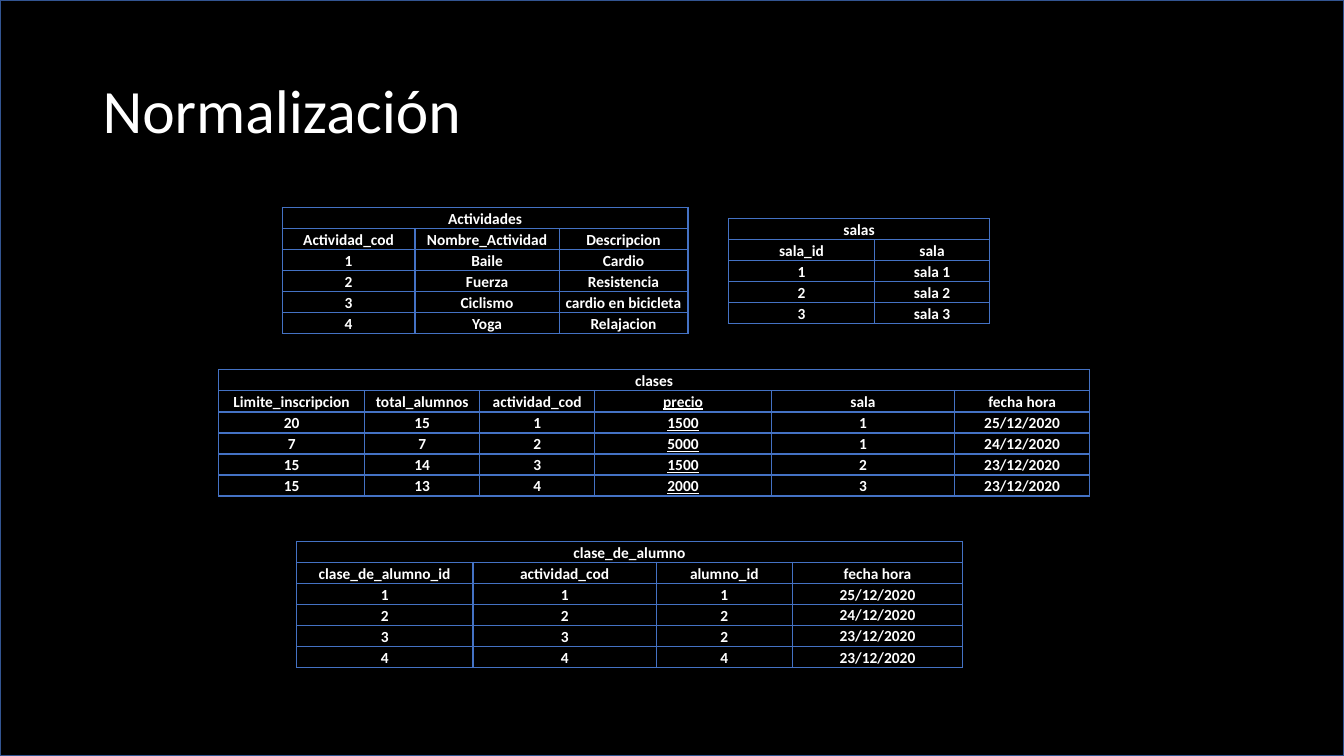
from dataclasses import dataclass

from lxml.etree import SubElement
from pptx import Presentation
from pptx.dml.color import RGBColor
from pptx.enum.shapes import MSO_SHAPE as Shape
from pptx.enum.text import MSO_ANCHOR as Anchor, PP_ALIGN as Align
from pptx.oxml.ns import qn
from pptx.util import Cm, Pt


@dataclass(frozen=True)
class Theme:
    font: str = "Calibri"
    background: str = "000000"
    frame: str = "325491"
    grid: str = "4472C4"
    text: str = "FFFFFF"
    title_size: int = 44
    cell_size: int = 11
    line_width: int = 1


theme = Theme()


def write(frame, text, size, bold=False, underline=False, align=Align.LEFT, spacing=1.0):
    frame.text = text
    paragraph = frame.paragraphs[0]
    paragraph.alignment = align
    paragraph.line_spacing = spacing
    font = paragraph.runs[0].font
    font.name, font.size = theme.font, Pt(size)
    font.bold, font.underline = bold, underline
    font.color.rgb = RGBColor.from_string(theme.text)


def outline(cell):
    properties = cell._tc.get_or_add_tcPr()
    for position, side in enumerate(("lnL", "lnR", "lnT", "lnB")):
        border = SubElement(properties, qn(f"a:{side}"), w=str(Pt(theme.line_width)))
        paint = SubElement(border, qn("a:solidFill"))
        SubElement(paint, qn("a:srgbClr"), val=theme.grid)
        properties.insert(position, border)


prs = Presentation()
prs.slide_width, prs.slide_height = Cm(33.87), Cm(19.05)
slide = prs.slides.add_slide(prs.slide_layouts[5])

# Title
title = slide.shapes.title
title.left, title.top, title.width, title.height = Cm(2.33), Cm(1.01), Cm(29.21), Cm(3.68)
write(title.text_frame, "Normalización", theme.title_size, spacing=0.9)
title.text_frame.vertical_anchor = Anchor.MIDDLE

# Black backdrop, behind the title
backdrop = slide.shapes.add_shape(Shape.RECTANGLE, 0, 0, prs.slide_width, prs.slide_height)
backdrop.shadow.inherit = False
backdrop.fill.solid()
backdrop.fill.fore_color.rgb = RGBColor.from_string(theme.background)
backdrop.line.color.rgb = RGBColor.from_string(theme.frame)
backdrop.line.width = Pt(theme.line_width)
title.element.addprevious(backdrop.element)

# Normalized relations: name, left, top, column widths, rows with header first
relations = [
    ("Actividades", 7.11, 5.23, (3.35, 3.63, 3.25), [
        ("Actividad_cod", "Nombre_Actividad", "Descripcion"),
        ("1", "Baile", "Cardio"),
        ("2", "Fuerza", "Resistencia"),
        ("3", "Ciclismo", "cardio en bicicleta"),
        ("4", "Yoga", "Relajacion"),
    ]),
    ("clases", 5.51, 9.32, (3.68, 2.9, 2.9, 4.45, 4.62, 3.4), [
        ("Limite_inscripcion", "total_alumnos", "actividad_cod", "precio", "sala", "fecha hora"),
        ("20", "15", "1", "1500", "1", "25/12/2020"),
        ("7", "7", "2", "5000", "1", "24/12/2020"),
        ("15", "14", "3", "1500", "2", "23/12/2020"),
        ("15", "13", "4", "2000", "3", "23/12/2020"),
    ]),
    ("salas", 18.36, 5.51, (3.68, 2.9), [
        ("sala_id", "sala"),
        ("1", "sala 1"),
        ("2", "sala 2"),
        ("3", "sala 3"),
    ]),
    ("clase_de_alumno", 7.47, 13.64, (4.45, 4.62, 3.43, 4.29), [
        ("clase_de_alumno_id", "actividad_cod", "alumno_id", "fecha hora"),
        ("1", "1", "1", "25/12/2020"),
        ("2", "2", "2", "24/12/2020"),
        ("3", "3", "2", "23/12/2020"),
        ("4", "4", "4", "23/12/2020"),
    ]),
]
row_height = 0.53
middle_date_rows = (3, 4)

for name, left, top, widths, records in relations:
    header = records[0]
    row_count = len(records) + 1
    relation = slide.shapes.add_table(row_count, len(widths), Cm(left), Cm(top),
                                      Cm(sum(widths)), Cm(row_height * row_count)).table
    relation.first_row = relation.horz_banding = False
    for column, width in zip(relation.columns, widths):
        column.width = Cm(width)
    for row in relation.rows:
        row.height = Cm(row_height)

    # Cell grid, then the name across the top row
    for cell in relation.iter_cells():
        cell.margin_left = cell.margin_right = cell.margin_top = Cm(0.03)
        cell.margin_bottom = 0
        cell.fill.background()
        outline(cell)
    relation.cell(0, 0).merge(relation.cell(0, len(widths) - 1))

    # Name, header and records
    for row_index, record in enumerate([(name,)] + records):
        for column_index, value in enumerate(record):
            field = header[column_index]
            cell = relation.cell(row_index, column_index)
            write(cell.text_frame, value, theme.cell_size, bold=True,
                  underline=field == "precio", align=Align.CENTER)
            centred = field == "fecha hora" and row_index in middle_date_rows
            cell.vertical_anchor = Anchor.MIDDLE if centred else Anchor.BOTTOM

prs.save("out.pptx")
